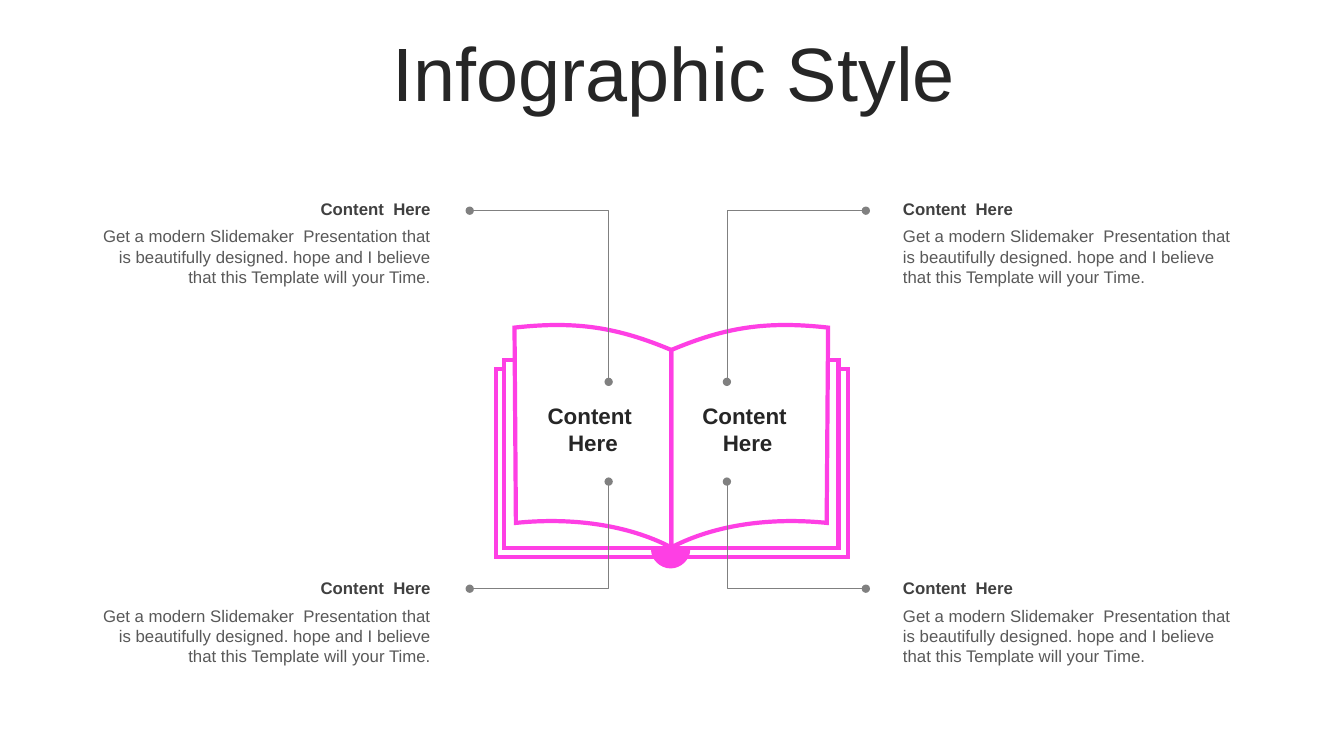
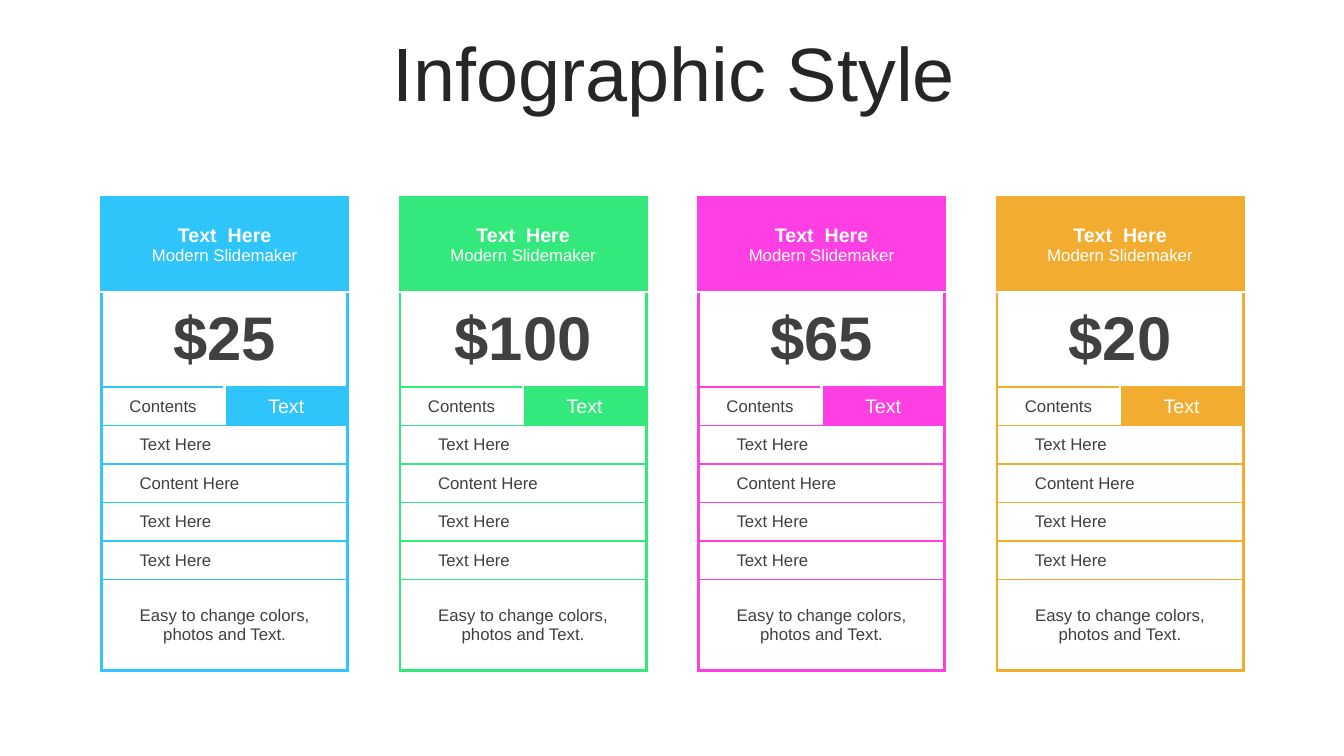
from dataclasses import dataclass

from lxml import etree
from pptx import Presentation
from pptx.dml.color import RGBColor
from pptx.enum.shapes import MSO_CONNECTOR, MSO_SHAPE
from pptx.enum.text import MSO_ANCHOR, PP_ALIGN
from pptx.oxml.ns import qn
from pptx.util import Pt

LEFT, CENTER, RIGHT = PP_ALIGN.LEFT, PP_ALIGN.CENTER, PP_ALIGN.RIGHT
TOP, MIDDLE = MSO_ANCHOR.TOP, MSO_ANCHOR.MIDDLE
ELBOW, RECTANGLE = MSO_CONNECTOR.ELBOW, MSO_SHAPE.RECTANGLE

WHITE = RGBColor(0xFF, 0xFF, 0xFF)
INK = RGBColor(0x26, 0x26, 0x26)
DARK = RGBColor(0x40, 0x40, 0x40)
BODY = RGBColor(0x59, 0x59, 0x59)
GRAY = RGBColor(0x80, 0x80, 0x80)
BLUE = RGBColor(0x2F, 0xC5, 0xFA)
GREEN = RGBColor(0x33, 0xE9, 0x7C)
PINK = RGBColor(0xFE, 0x3F, 0xE4)
ORANGE = RGBColor(0xF2, 0xAC, 0x30)

FONT = "Arial"
TITLE = "Infographic Style"
BLURB = ("Get a modern Slidemaker  Presentation that is beautifully designed. "
         "hope and I believe that this Template will your Time.")

Point = tuple[float, float]
Segment = list[Point]

# An outline is a list of segments: one point is a straight move, three a cubic curve.
SPINE_X = 479.5
LEADER_AXIS = 477
PAGE = [
    [(SPINE_X, 250)],
    [(517.5, 234), (547, 229), (591.5, 234)],
    [(590.5, 373.5)],
    [(551.5, 369.5), (511, 374.5), (SPINE_X, 391)],
]
KNOB = [
    [(465.5, 392.5)],
    [(492.5, 392.5)],
    [(492.5, 399.5), (486, 405.5), (479, 405.5)],
    [(472, 405.5), (465.5, 399.5), (465.5, 392.5)],
]

TABLE_LEFT, TABLE_TOP, TABLE_STEP = 72.5, 141, 213.2
COLUMNS = [20, 68, 68, 20]
ROWS = [67.5, 68] + [27.5] * 5 + [65]
TAB_ROW = 2
THICK, THIN = 2.25, 1.5


@dataclass(frozen=True)
class Style:
    size: float
    color: RGBColor
    bold: bool = False
    align: PP_ALIGN = LEFT


@dataclass(frozen=True)
class Callout:
    left: float
    top: float
    align: PP_ALIGN


@dataclass(frozen=True)
class Leader:
    outer_y: float
    inner_y: float


@dataclass(frozen=True)
class Plan:
    price: str
    accent: RGBColor


@dataclass(frozen=True)
class Entry:
    """A table cell, or a run of merged cells, with one style per line."""
    row: int
    col: int
    span: int
    lines: tuple[str, ...] = ()
    styles: tuple[Style, ...] = ()
    accented: bool = False


CALLOUTS = [Callout(left, top, align)
            for left, align in ((645, LEFT), (63.75, RIGHT)) for top in (409, 138)]
LEADERS = [Leader(420.5, 344), Leader(150.5, 272.75)]
PLANS = [Plan("$25", BLUE), Plan("$100", GREEN), Plan("$65", PINK), Plan("$20", ORANGE)]
FEATURES = ["Text Here", "Content Here", "Text Here", "Text Here"]

TITLE_STYLE = Style(54, INK, align=CENTER)
ITEM = Style(12, DARK)
ITEM_CENTERED = Style(12, DARK, align=CENTER)


def write(tf, lines: tuple[str, ...], styles: tuple[Style, ...]) -> None:
    tf.text = "\n".join(lines)
    for p, style in zip(tf.paragraphs, styles):
        p.alignment = style.align
        for r in p.runs:
            r.font.name = FONT
            r.font.size = Pt(style.size)
            r.font.bold = style.bold
            r.font.color.rgb = style.color


def add_title_slide(prs):
    s = prs.slides.add_slide(prs.slide_layouts[5])
    title = s.shapes.title
    title.left, title.top, title.width, title.height = Pt(25.5), Pt(26.25), Pt(911.5), Pt(57)
    tf = title.text_frame
    write(tf, (TITLE,), (TITLE_STYLE,))
    tf.vertical_anchor = MIDDLE
    tf.paragraphs[0].line_spacing = 0.9
    return s


def add_text(s, left: float, top: float, width: float, height: float, text: str,
             style: Style, anchor: MSO_ANCHOR = MIDDLE, inset: float = 7.2) -> None:
    tf = s.shapes.add_textbox(Pt(left), Pt(top), Pt(width), Pt(height)).text_frame
    tf.word_wrap = True
    tf.vertical_anchor = anchor
    tf.margin_left = Pt(inset)
    write(tf, (text,), (style,))


def paint(sp, fill: RGBColor, line_width: float) -> None:
    sp.shadow.inherit = False
    sp.fill.solid()
    sp.fill.fore_color.rgb = fill
    sp.line.color.rgb = PINK
    sp.line.width = Pt(line_width)
    etree.SubElement(sp._element.spPr.find(qn("a:ln")), qn("a:miter"), lim="800000")


def mirror(points: Segment, axis: float) -> Segment:
    return [(2 * axis - x, y) for x, y in points]


def add_outline(s, outline: list[Segment], fill: RGBColor, line_width: float) -> None:
    """Build the straight outline, then bend the segments that have controls."""
    start, *corners = [(Pt(seg[-1][0]), Pt(seg[-1][1])) for seg in outline]
    builder = s.shapes.build_freeform(*start)
    builder.add_line_segments(corners, close=True)
    sp = builder.convert_to_shape()
    lines = list(sp._element.spPr.iter(qn("a:lnTo")))
    for line, segment in zip(lines, outline[1:]):
        if len(segment) == 1:
            continue
        curve = etree.Element(qn("a:cubicBezTo"))
        for x, y in segment:
            etree.SubElement(curve, qn("a:pt"),
                             x=str(Pt(x) - sp.left), y=str(Pt(y) - sp.top))
        line.getparent().replace(line, curve)
    paint(sp, fill, line_width)


def add_book(s) -> None:
    for left, top, width in ((354.5, 263.5, 251), (360, 257, 239)):
        cover = s.shapes.add_shape(RECTANGLE, Pt(left), Pt(top), Pt(width), Pt(134.5))
        paint(cover, WHITE, 3)
    add_outline(s, PAGE, WHITE, 3)
    add_outline(s, [mirror(segment, SPINE_X) for segment in PAGE], WHITE, 3)
    add_outline(s, KNOB, PINK, 1)


def add_leader(s, start: Point, end: Point) -> None:
    """Draw a line that runs level to the end's x, then turns once."""
    line = s.shapes.add_connector(ELBOW, *(Pt(v) for v in start + end))
    line.line.color.rgb = GRAY
    line.line.width = Pt(0.5)
    props = line._element.spPr
    guides = props.find(qn("a:prstGeom")).find(qn("a:avLst"))
    etree.SubElement(guides, qn("a:gd"), name="adj1", fmla="val 100000")
    for tag in ("a:headEnd", "a:tailEnd"):
        etree.SubElement(props.find(qn("a:ln")), qn(tag), type="oval")
    etree.SubElement(props, qn("a:effectLst"))


def build_book_slide(prs) -> None:
    s = add_title_slide(prs)
    add_book(s)
    for c in CALLOUTS:
        add_text(s, c.left, c.top, 251, 22, "Content  Here",
                 Style(12, DARK, True, c.align), inset=0)
        add_text(s, c.left, c.top + 20, 251, 51, BLURB,
                 Style(12, BODY, align=c.align), TOP, inset=0)
    for leader in LEADERS:
        ends = [(335.5, leader.outer_y), (434.75, leader.inner_y)]
        add_leader(s, *ends)
        add_leader(s, *mirror(ends, LEADER_AXIS))
    for left in (381, 491.5):
        add_text(s, left, 283.5, 85, 46, "Content  Here", Style(16, INK, True, CENTER))


def set_border(cell, side: str, color: RGBColor | None, width: float) -> None:
    """Set one cell edge (L, R, T or B); no colour means no line."""
    props = cell._tc.get_or_add_tcPr()
    ln = etree.Element(qn(f"a:ln{side}"), w=str(Pt(width)))
    if color is None:
        etree.SubElement(ln, qn("a:noFill"))
    else:
        fill = etree.SubElement(ln, qn("a:solidFill"))
        etree.SubElement(fill, qn("a:srgbClr"), val=str(color))
    props.append(ln)


def draw_borders(table, entry: Entry, accent: RGBColor) -> None:
    def level(i: int) -> tuple[RGBColor, float]:
        return (WHITE if i == 1 else accent, THICK if i in (0, 1, len(ROWS)) else THIN)

    def upright(at_edge: bool) -> RGBColor | None:
        if at_edge:
            return accent
        return WHITE if entry.row == TAB_ROW else None

    end = entry.col + entry.span
    for col in range(entry.col, end):
        cell = table.cell(entry.row, col)
        if col == entry.col:
            set_border(cell, "L", upright(col == 0), THICK)
        if col in (entry.col, end - 1):
            set_border(cell, "R", upright(end == len(COLUMNS)), THICK)
        set_border(cell, "T", *level(entry.row))
        set_border(cell, "B", *level(entry.row + 1))


def plan_entries(plan: Plan) -> list[Entry]:
    entries = [
        Entry(0, 0, 4, ("Text  Here", "Modern Slidemaker"),
              (Style(14, WHITE, True, CENTER), Style(12, WHITE, align=CENTER)), True),
        Entry(1, 0, 4, (plan.price,), (Style(44, DARK, True, CENTER),)),
        Entry(TAB_ROW, 0, 2, ("Contents",), (ITEM_CENTERED,)),
        Entry(TAB_ROW, 2, 2, ("Text",), (Style(14, WHITE, align=CENTER),), True),
    ]
    items = [(text, ITEM) for text in FEATURES]
    items.append(("Easy to change colors, photos and Text.", ITEM_CENTERED))
    for row, (text, style) in enumerate(items, TAB_ROW + 1):
        entries += [Entry(row, 0, 1), Entry(row, 1, 2, (text,), (style,)), Entry(row, 3, 1)]
    return entries


def add_plan_table(s, left: float, plan: Plan) -> None:
    table = s.shapes.add_table(len(ROWS), len(COLUMNS), Pt(left), Pt(TABLE_TOP),
                               Pt(sum(COLUMNS)), Pt(sum(ROWS))).table
    table.first_row = table.horz_banding = False
    for column, width in zip(table.columns, COLUMNS):
        column.width = Pt(width)
    for row, height in zip(table.rows, ROWS):
        row.height = Pt(height)
    for entry in plan_entries(plan):
        cell = table.cell(entry.row, entry.col)
        if entry.span > 1:
            cell.merge(table.cell(entry.row, entry.col + entry.span - 1))
        draw_borders(table, entry, plan.accent)
        cell.vertical_anchor = MIDDLE
        cell.fill.solid()
        cell.fill.fore_color.rgb = plan.accent if entry.accented else WHITE
        if entry.lines:
            write(cell.text_frame, entry.lines, entry.styles)
    for cell in table.iter_cells():
        if not cell.text:
            p = cell.text_frame.paragraphs[0]
            etree.SubElement(p._p, qn("a:endParaRPr"), sz="1200")


def build_pricing_slide(prs) -> None:
    s = add_title_slide(prs)
    for i, plan in enumerate(PLANS):
        add_plan_table(s, TABLE_LEFT + i * TABLE_STEP, plan)


def main() -> None:
    prs = Presentation()
    prs.slide_width, prs.slide_height = Pt(960), Pt(540)
    build_book_slide(prs)
    build_pricing_slide(prs)
    prs.save("out.pptx")


if __name__ == "__main__":
    main()
